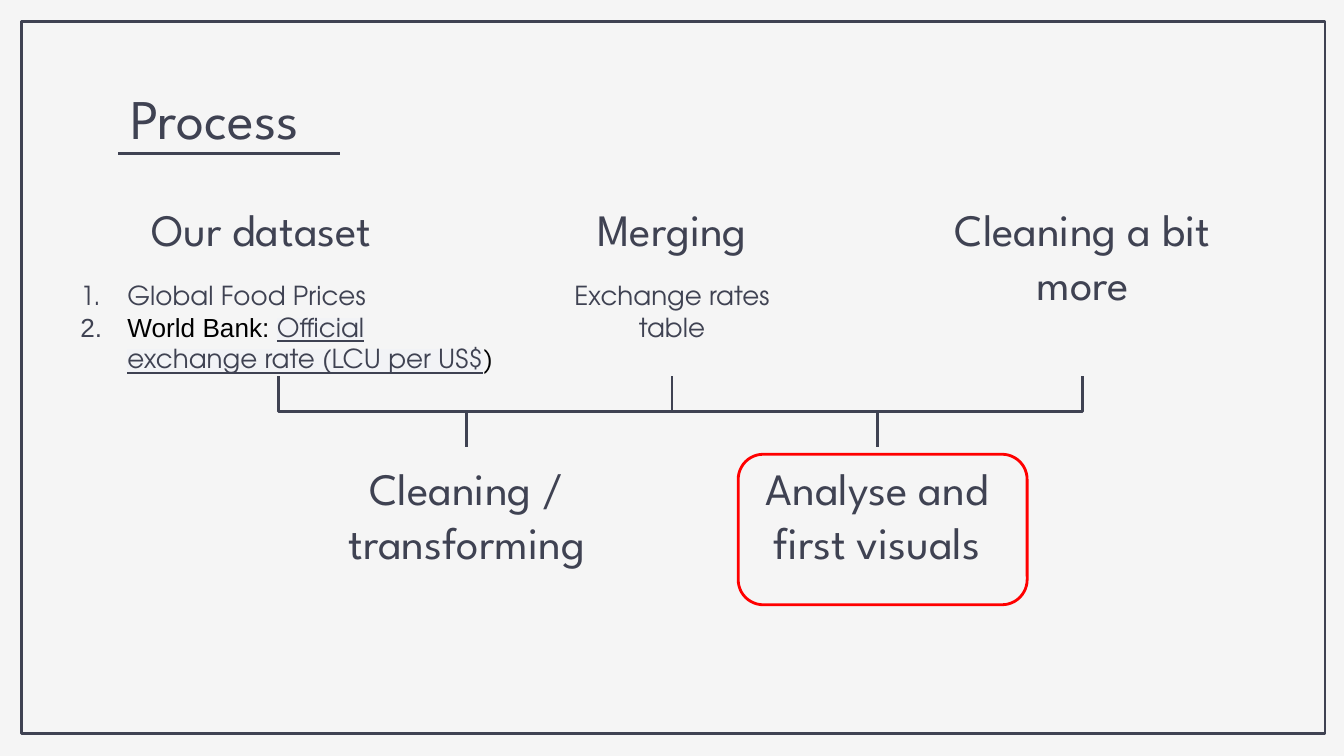
import pptx
import pptx.util
import pptx.dml.color
import pptx.enum.shapes
import pptx.enum.text
import pptx.oxml.ns
from dataclasses import dataclass
from lxml import etree

Inches = pptx.util.Inches
Shape = pptx.enum.shapes.MSO_SHAPE
Link = pptx.enum.shapes.MSO_CONNECTOR
Align = pptx.enum.text.PP_ALIGN
qn = pptx.oxml.ns.qn


@dataclass(frozen=True)
class Theme:
    ink: str = "3F4252"
    back: str = "F5F5F5"
    black: str = "000000"
    mark: str = "F2F3F6"
    alert: str = "FF0000"
    head: str = "League Spartan"
    body: str = "TeX Gyre Adventor"
    plain: str = "Arial"
    title: int = 30
    step: int = 24
    note: int = 14
    line: float = 1.5


theme = Theme()


def rgb(code):
    return pptx.dml.color.RGBColor.from_string(code)


def style(font, name, size, color=theme.ink):
    font.name, font.size = name, pptx.util.Pt(size)
    font.color.rgb = rgb(color)


def stroke(line, color=theme.ink):
    line.color.rgb = rgb(color)
    line.width = pptx.util.Pt(theme.line)


def setup(frame):
    frame.word_wrap = True
    frame.auto_size = pptx.enum.text.MSO_AUTO_SIZE.NONE
    frame.vertical_anchor = pptx.enum.text.MSO_ANCHOR.TOP
    frame.margin_left = frame.margin_right = Inches(0.1)
    frame.margin_top = frame.margin_bottom = Inches(0.1)


def label(slide, box, text, name, size):
    frame = slide.shapes.add_textbox(*map(Inches, box)).text_frame
    setup(frame)
    para = frame.paragraphs[0]
    para.text, para.alignment = text, Align.CENTER
    style(para.font, name, size)


def outline(slide, kind, box, color):
    shape = slide.shapes.add_shape(kind, *map(Inches, box))
    shape.shadow.inherit = False
    shape.fill.background()
    stroke(shape.line, color)


def rule(slide, x1, y1, x2, y2, kind=Link.STRAIGHT):
    link = slide.shapes.add_connector(kind, *map(Inches, (x1, y1, x2, y2)))
    stroke(link.line)
    etree.SubElement(link._element.spPr, qn("a:effectLst"))
    return link


def elbow(slide, x1, y1, x2, y2):
    """Bent line that leaves downward, so its box is turned a quarter."""
    midx, midy = (x1 + x2) / 2, (y1 + y2) / 2
    high, wide = (y2 - y1) / 2, abs(x2 - x1) / 2
    right = x2 > x1
    if right:
        high = -high
    link = rule(slide, midx - high, midy - wide, midx + high, midy + wide,
                Link.ELBOW)
    turn = 270 if right else 90
    link._element.spPr.find(qn("a:xfrm")).set("rot", str(turn * 60000))


def header(slide, box):
    left, top, wide, high = box
    title = slide.shapes.title
    title.left, title.top, title.width, title.height = map(Inches, box)
    setup(title.text_frame)
    para = title.text_frame.paragraphs[0]
    para.text, para.alignment = "Process", Align.LEFT
    style(para.font, theme.head, theme.title)
    rule(slide, left + 0.01, top + high - 0.01, left + 1.66, top + high - 0.01)


def number(para):
    props = para._p.get_or_add_pPr()
    props.set("marL", str(Inches(0.5)))
    props.set("indent", str(-Inches(0.35)))
    color = etree.SubElement(props, qn("a:buClr"))
    etree.SubElement(color, qn("a:srgbClr"), val=theme.ink)
    etree.SubElement(props, qn("a:buFont"), typeface=theme.body)
    etree.SubElement(props, qn("a:buAutoNum"), type="arabicPeriod")


def sources(slide, box):
    frame = slide.shapes.add_textbox(*map(Inches, box)).text_frame
    setup(frame)
    first, second = frame.paragraphs[0], frame.add_paragraph()
    number(first)
    number(second)
    first.text = "Global Food Prices"
    style(first.font, theme.body, theme.note)
    parts = (("World Bank: ", theme.plain, theme.black),
             ("Official exchange rate (LCU per US$", theme.body, theme.ink),
             (")", theme.body, theme.black))
    for text, name, color in parts:
        run = second.add_run()
        run.text = text
        style(run.font, name, theme.note, color)
    # Underlined, shaded data set name
    run = second.runs[1]
    run.font.underline = True
    mark = etree.Element(qn("a:highlight"))
    etree.SubElement(mark, qn("a:srgbClr"), val=theme.mark)
    run._r.rPr.find(qn("a:solidFill")).addnext(mark)


def process(slide, box):
    left, top, wide, high = box
    cell = 2.15
    gap = (wide - cell) / 4
    cols = [left + i * gap for i in range(5)]
    mids = [x + cell / 2 for x in cols]
    # The first branch starts right of its heading, under the list
    mids[0] = left + 1.2
    upper, lower = top + 1.4, top + 1.93

    # Steps alternate above and below the tree
    steps = ("Our dataset", "Cleaning / transforming", "Merging",
             "Analyse and first visuals", "Cleaning a bit more")
    talls = (0.58, 0.97, 0.58, 0.97, 0.92)
    for i, (text, tall) in enumerate(zip(steps, talls)):
        y = lower if i % 2 else top
        label(slide, (cols[i], y, cell, tall), text, theme.head, theme.step)
    sources(slide, (left - 0.52, top + 0.58, 3.44, 0.82))
    label(slide, (cols[2], top + 0.58, cell, 0.82), "Exchange rates table",
          theme.body, theme.note)

    # Tree that joins each lower step to its neighbours
    for i in (1, 3):
        rule(slide, mids[i], top + 1.69, mids[i], top + 1.84)
        for side in (i - 1, i + 1):
            elbow(slide, mids[side], upper, mids[i], lower)

    # Current step
    outline(slide, Shape.ROUNDED_RECTANGLE,
            (cols[3] + 0.04, lower + 0.05, cell, high - 1.98), theme.alert)


def main():
    deck = pptx.Presentation()
    # Widescreen, 16 to 9
    deck.slide_width, deck.slide_height = Inches(10), Inches(10 * 9 / 16)
    slide = deck.slides.add_slide(deck.slide_layouts[5])
    slide.background.fill.solid()
    slide.background.fill.fore_color.rgb = rgb(theme.back)
    outline(slide, Shape.RECTANGLE, (0.16, 0.16, 9.7, 5.3), theme.ink)
    header(slide, (0.87, 0.52, 6.64, 0.63))
    process(slide, (0.87, 1.4, 8.26, 3.1))
    deck.save("out.pptx")


if __name__ == "__main__":
    main()
